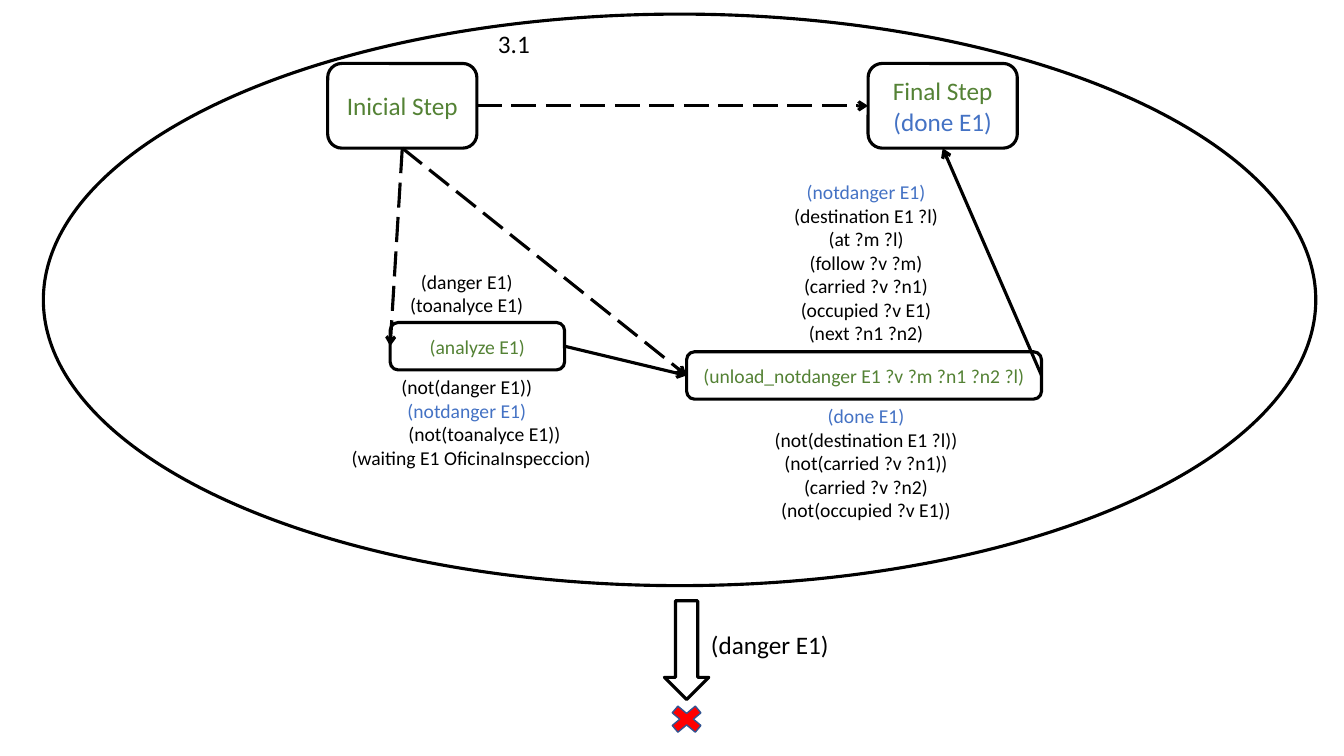
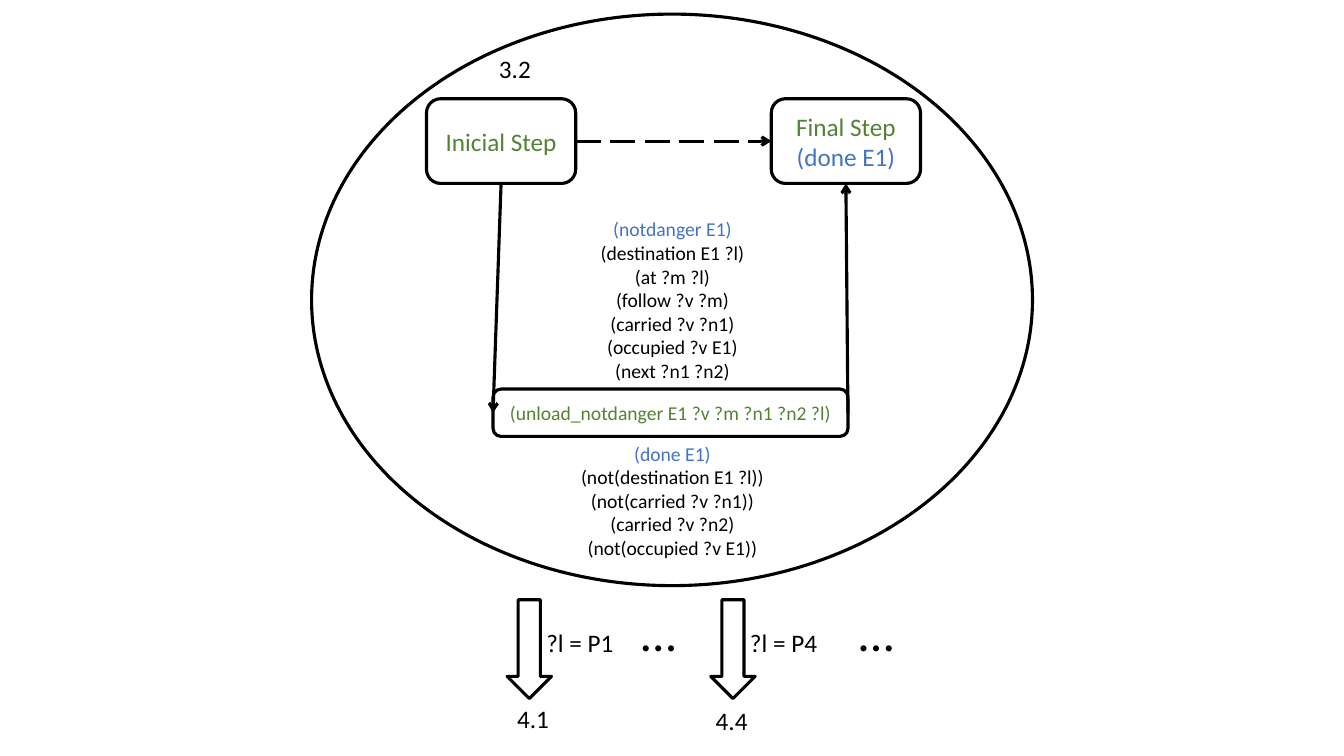
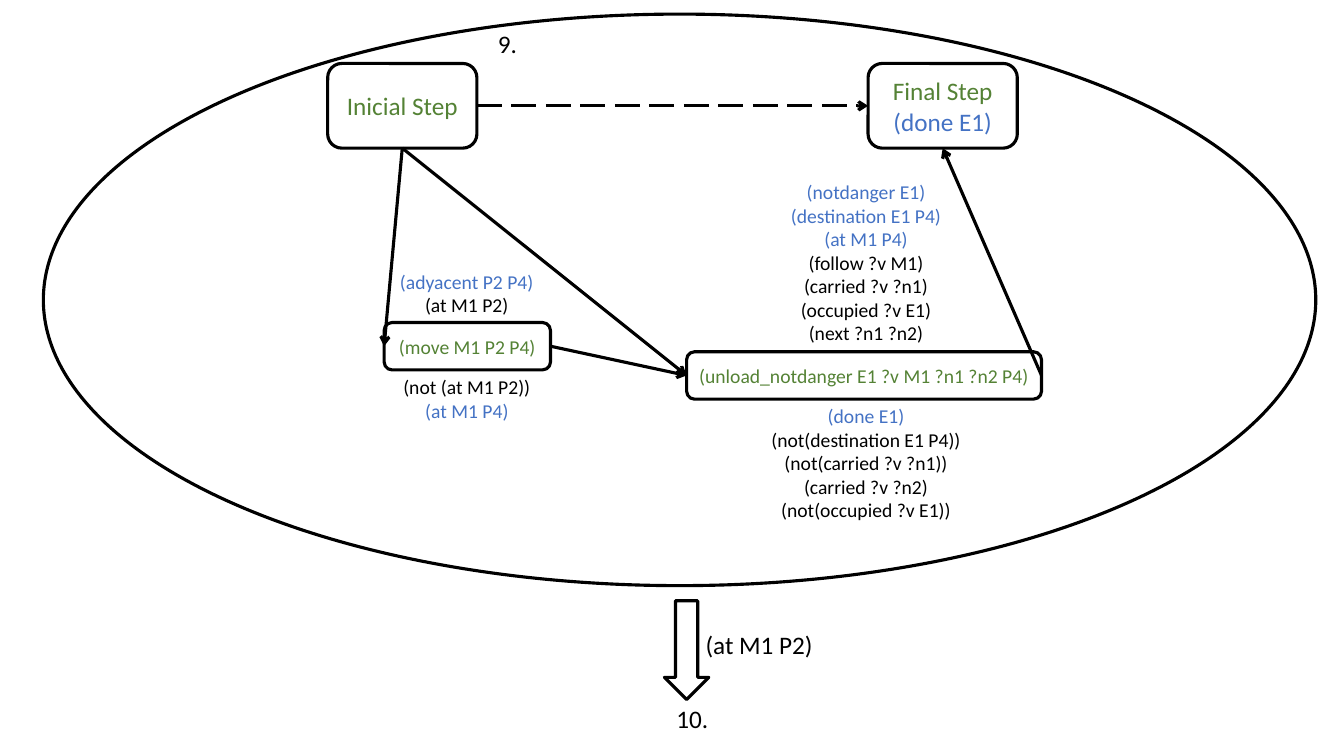
from dataclasses import dataclass

from lxml.etree import SubElement
from pptx import Presentation
from pptx.dml.color import RGBColor
from pptx.enum.dml import MSO_LINE
from pptx.enum.shapes import MSO_CONNECTOR, MSO_SHAPE
from pptx.enum.text import MSO_ANCHOR, MSO_AUTO_SIZE, PP_ALIGN
from pptx.oxml.ns import qn
from pptx.util import Inches, Pt


@dataclass(frozen=True)
class Theme:
    font: str = "Calibri"
    ink: str = "000000"
    paper: str = "FFFFFF"
    step: str = "548235"
    linked: str = "4472C4"
    failed: str = "FF0000"
    failed_edge: str = "325491"
    label_size: float = 18
    literal_size: float = 14
    dots_size: float = 36
    line_width: float = 2.25


THEME = Theme()

# Connection sites of a rounded box
LEFT, BOTTOM, RIGHT = 1, 2, 3

# Literals that already have a causal link
LINKED = {"(notdanger E1)", "(done E1)", "(destination E1 P4)",
          "(at M1 P4)", "(adyacent P2 P4)"}

LITERAL_HEIGHT = 0.236
OPERATOR_HEIGHT = 0.47


class PlanDeck:
    def __init__(self, theme):
        self.theme = theme
        self.presentation = Presentation()
        self.presentation.slide_width = Inches(13.33)
        self.presentation.slide_height = Inches(7.5)
        self.slide = None

    def new_slide(self):
        blank = self.presentation.slide_layouts[6]
        self.slide = self.presentation.slides.add_slide(blank)

    def set_lines(self, frame, lines, size, color=None, align=PP_ALIGN.CENTER, indents=None):
        """Set one paragraph per line; linked literals get their own colour."""
        for index, line in enumerate(lines):
            paragraph = frame.paragraphs[0] if index == 0 else frame.add_paragraph()
            paragraph.text = line
            paragraph.alignment = align
            font = paragraph.font
            font.name, font.size = self.theme.font, Pt(size)
            shade = self.theme.linked if line in LINKED else color or self.theme.ink
            font.color.rgb = RGBColor.from_string(shade)
            if indents and line in indents:
                paragraph._p.get_or_add_pPr().set("marL", str(Inches(indents[line])))

    def shape(self, kind, left, top, width, height, fill=None, edge=None, weight=None):
        shape = self.slide.shapes.add_shape(
            kind, Inches(left), Inches(top), Inches(width), Inches(height))
        shape.shadow.inherit = False
        shape.fill.solid()
        shape.fill.fore_color.rgb = RGBColor.from_string(fill or self.theme.paper)
        shape.line.color.rgb = RGBColor.from_string(edge or self.theme.ink)
        shape.line.width = Pt(weight or self.theme.line_width)
        return shape

    def box(self, lines, size, left, top, width, height):
        box = self.shape(MSO_SHAPE.ROUNDED_RECTANGLE, left, top, width, height)
        box.text_frame.vertical_anchor = MSO_ANCHOR.MIDDLE
        self.set_lines(box.text_frame, lines, size, self.theme.step)
        return box

    def text(self, lines, left, top, width, height=0.4, size=None,
             align=PP_ALIGN.LEFT, wrap=True, indents=None):
        area = self.slide.shapes.add_textbox(
            Inches(left), Inches(top), Inches(width), Inches(height))
        area.text_frame.word_wrap = wrap
        area.text_frame.auto_size = MSO_AUTO_SIZE.SHAPE_TO_FIT_TEXT
        self.set_lines(area.text_frame, lines, size or self.theme.label_size,
                       align=align, indents=indents)

    def operator(self, name, left, top, width, text_centre, needs, effects, indents=None):
        """An operator box with preconditions above it and effects below it."""
        box = self.box([name], self.theme.literal_size, left, top, width, OPERATOR_HEIGHT)
        needs_height = LITERAL_HEIGHT * len(needs) + 0.1
        effects_height = LITERAL_HEIGHT * len(effects) + 0.1
        for lines, y, w, h in (
                (needs, top - needs_height, 2.23, needs_height),
                (effects, top + OPERATOR_HEIGHT, 2.82, effects_height)):
            self.text(lines, text_centre - w / 2, y, w, h, self.theme.literal_size,
                      PP_ALIGN.CENTER, indents=indents)
        return box

    def unload(self, left, top, vehicle="?m", place="?l"):
        return self.operator(
            f"(unload_notdanger E1 ?v {vehicle} ?n1 ?n2 {place})",
            left, top, 3.52, left + 1.78,
            ["(notdanger E1)", f"(destination E1 {place})", f"(at {vehicle} {place})",
             f"(follow ?v {vehicle})", "(carried ?v ?n1)", "(occupied ?v E1)",
             "(next ?n1 ?n2)"],
            ["(done E1)", f"(not(destination E1 {place}))", "(not(carried ?v ?n1))",
             "(carried ?v ?n2)", "(not(occupied ?v E1))"])

    def arrow(self, source, source_site, target, target_site, dashed=False):
        arrow = self.slide.shapes.add_connector(MSO_CONNECTOR.STRAIGHT, 0, 0, 0, 0)
        arrow.begin_connect(source, source_site)
        arrow.end_connect(target, target_site)
        arrow.line.color.rgb = RGBColor.from_string(self.theme.ink)
        arrow.line.width = Pt(self.theme.line_width)
        if dashed:
            arrow.line.dash_style = MSO_LINE.LONG_DASH
        properties = arrow._element.spPr
        SubElement(properties.find(qn("a:ln")), qn("a:tailEnd"), type="arrow")
        SubElement(properties, qn("a:effectLst"))

    def branch(self, left, top):
        self.shape(MSO_SHAPE.DOWN_ARROW, left, top, 0.44, 0.98)

    def plan(self, number, number_at, number_width, oval, steps_left, steps_top):
        """A new slide with the plan's oval, number, first and last steps."""
        self.new_slide()
        oval_left, oval_width = oval
        self.shape(MSO_SHAPE.OVAL, oval_left, 0.14, oval_width, 5.67)
        initial, final = (
            self.box(lines, self.theme.label_size, left, steps_top, 1.48, 0.84)
            for lines, left in zip((["Inicial Step"], ["Final Step", "(done E1)"]),
                                   steps_left))
        self.arrow(initial, RIGHT, final, LEFT, dashed=True)
        self.text([number], *number_at, number_width, wrap=False)
        return initial, final

    def wide_plan(self, number, number_width, condition, condition_width, dashed,
                  operator, **bindings):
        """A plan in which one more operator comes before the unloading."""
        initial, final = self.plan(number, (4.84, 0.23), number_width,
                                   (0.43, 12.62), (3.25, 8.61), 0.63)
        unload = self.unload(6.81, 3.49, **bindings)
        earlier = self.operator(**operator, top=3.2, text_centre=4.63)
        self.arrow(unload, RIGHT, final, BOTTOM)
        self.arrow(initial, BOTTOM, unload, LEFT, dashed)
        self.arrow(initial, BOTTOM, earlier, LEFT, dashed)
        self.arrow(earlier, RIGHT, unload, LEFT)
        self.branch(6.59, 5.96)
        self.text([condition], 6.88, 6.19, condition_width, align=PP_ALIGN.CENTER)


deck = PlanDeck(THEME)

# Plan 3.1: analysing the container, a dead end
deck.wide_plan(
    "3.1", 0.52, "(danger E1)", 1.51, True,
    dict(name="(analyze E1)", left=3.87, width=1.73,
         needs=["(danger E1)", "(toanalyce E1)"],
         effects=["(not(danger E1))", "(notdanger E1)", "(not(toanalyce E1))",
                  "(waiting E1 OficinaInspeccion)"],
         indents={"(not(toanalyce E1))": 0.35, "(waiting E1 OficinaInspeccion)": 0.09}))
deck.shape(MSO_SHAPE.MATH_MULTIPLY, 6.59, 6.95, 0.44, 0.37,
           THEME.failed, THEME.failed_edge, 1)

# Plan 3.2: unloading directly, one branch per place
initial, final = deck.plan("3.2", (4.85, 0.48), 0.52, (3.09, 7.15), (4.23, 7.65), 0.98)
unload = deck.unload(4.89, 3.86)
deck.arrow(unload, RIGHT, final, BOTTOM)
deck.arrow(initial, BOTTOM, unload, LEFT)
for left, place, dots_left, next_plan, next_left, next_top, next_width in (
        (5.03, "P1", 6.26, "4.1", 5.03, 6.93, 0.69),
        (7.05, "P4", 8.42, "4.4", 7.0, 6.95, 0.54)):
    deck.branch(left, 5.95)
    deck.text([f"?l = {place}"], left + 0.29, 6.17, 0.94)
    deck.text(["…"], dots_left, 5.91, 0.65, 0.46, THEME.dots_size)
    deck.text([next_plan], next_left, next_top, next_width)

# Plan 9: moving the vehicle before unloading
deck.wide_plan(
    "9.", 0.39, "(at M1 P2)", 1.3, False,
    dict(name="(move M1 P2 P4)", left=3.81, width=1.65,
         needs=["(adyacent P2 P4)", "(at M1 P2)"],
         effects=["(not (at M1 P2))", "(at M1 P4)"]),
    vehicle="M1", place="P4")
deck.text(["10."], 6.61, 6.93, 0.59)

deck.presentation.save("out.pptx")
